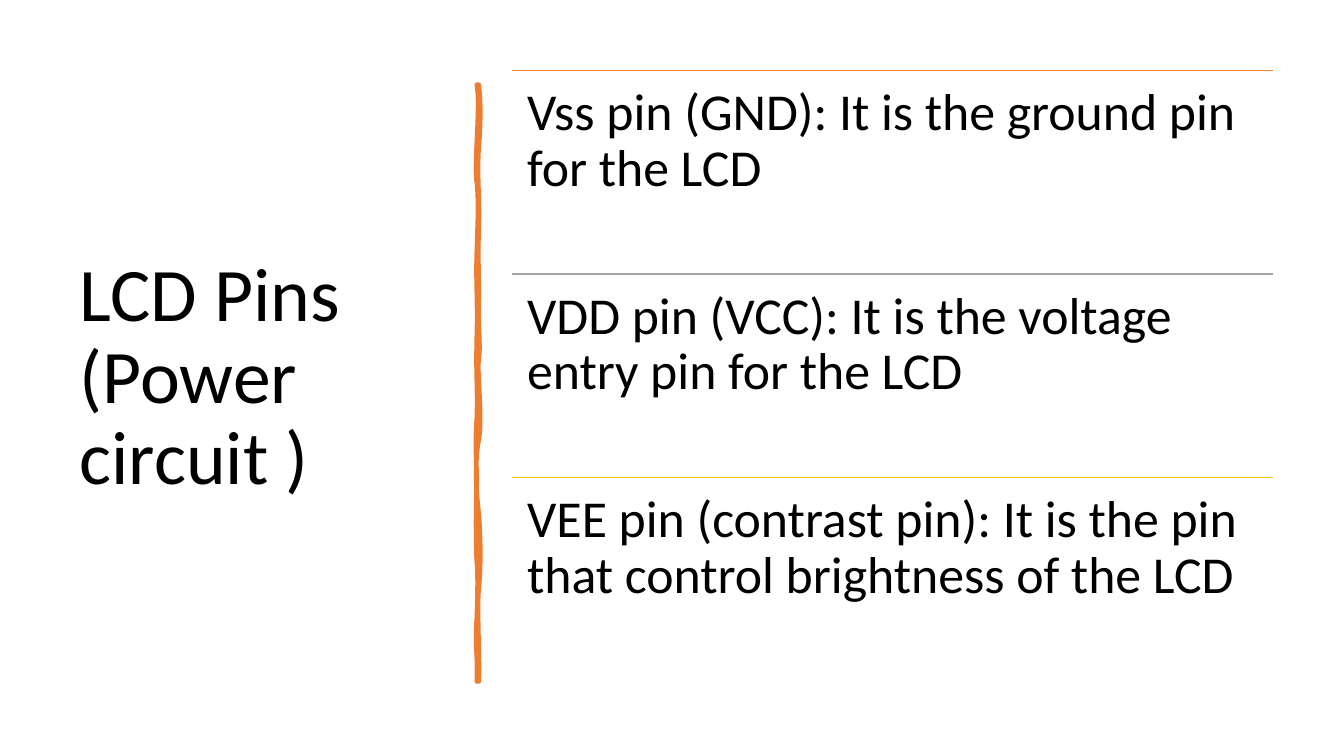
from lxml.etree import SubElement
from pptx import Presentation
from pptx.dml.color import RGBColor
from pptx.enum.shapes import MSO_CONNECTOR as Conn
from pptx.enum.text import MSO_ANCHOR as Anchor, MSO_AUTO_SIZE as AutoSize, PP_ALIGN as Align
from pptx.oxml.ns import qn
from pptx.util import Inches, Pt

# Content
TITLE = "LCD Pins (Power circuit )"
PINS = [
    ("Vss pin (GND): It is the ground pin for the LCD", "ED7D31"),
    ("VDD pin (VCC): It is the voltage entry pin for the LCD", "A5A5A5"),
    ("VEE pin (contrast pin): It is the pin that control brightness of the LCD", "FFC000"),
]
FONT, INK, ACCENT = "Calibri", "000000", "ED7D31"

# Layout in inches
WIDTH, HEIGHT = 40 / 3, 7.5
TITLE_BOX = (0.69, 0.7, 3.74, 6.11)
LIST_LEFT, LIST_TOP, LIST_WIDTH, ROW = 5.08, 0.7, 7.55, 2.02
BAR_LEFT, BAR_RIGHT, BAR_TOP, BAR_BOTTOM = 4.73, 4.75, 0.84, 6.76

# Hand-drawn bar edges: each curve is (control x, y, control x, y, end y)
STROKE_RIGHT = [
    (4.77, 1.02, 4.77, 1.19, 1.46), (4.73, 1.73, 4.76, 1.95, 2.26),
    (4.74, 2.57, 4.75, 2.62, 2.94), (4.74, 3.25, 4.77, 3.42, 3.56),
    (4.73, 3.7, 4.79, 4.14, 4.36), (4.71, 4.57, 4.72, 4.84, 5.1),
    (4.77, 5.36, 4.77, 5.64, 5.84), (4.73, 6.03, 4.76, 6.5, 6.76)]
STROKE_LEFT = [
    (4.74, 6.46, 4.71, 6.44, 6.13), (4.74, 5.83, 4.74, 5.7, 5.57),
    (4.72, 5.44, 4.72, 4.95, 4.77), (4.73, 4.59, 4.71, 4.45, 4.15),
    (4.74, 3.86, 4.72, 3.73, 3.35), (4.74, 2.98, 4.72, 2.81, 2.5),
    (4.74, 2.18, 4.75, 2, 1.81), (4.7, 1.63, 4.77, 1.04, 0.84)]
FILL_RIGHT = [
    (4.75, 1.15, 4.72, 1.25, 1.52), (4.77, 1.79, 4.74, 1.97, 2.08),
    (4.76, 2.2, 4.74, 2.55, 2.94), (4.76, 3.33, 4.73, 3.43, 3.62),
    (4.77, 3.81, 4.77, 3.97, 4.3), (4.72, 4.63, 4.75, 4.74, 5.16),
    (4.75, 5.57, 4.74, 5.53, 5.78), (4.76, 6.03, 4.74, 6.47, 6.76)]
FILL_LEFT = [
    (4.7, 6.49, 4.74, 6.32, 6.13), (4.72, 5.95, 4.75, 5.69, 5.39),
    (4.71, 5.1, 4.76, 5, 4.71), (4.7, 4.42, 4.77, 4.2, 3.86),
    (4.69, 3.51, 4.74, 3.25, 3), (4.71, 2.75, 4.71, 2.59, 2.38),
    (4.74, 2.16, 4.74, 1.85, 1.64), (4.71, 1.43, 4.75, 1.21, 0.84)]
OUTLINES = [(STROKE_RIGHT, STROKE_LEFT, {"fill": "none"}),
            (FILL_RIGHT, FILL_LEFT, {"stroke": "0"})]


def color(value):
    return RGBColor.from_string(value)


def write(tf, text, size, anchor, inset=None, after=0):
    settings = dict(word_wrap=True, auto_size=AutoSize.NONE, vertical_anchor=anchor)
    if inset:
        for side in ("left", "top", "right", "bottom"):
            settings["margin_" + side] = Inches(inset)
    for name, value in settings.items():
        setattr(tf, name, value)
    p = tf.paragraphs[0]
    p.alignment, p.line_spacing, p.space_after = Align.LEFT, 0.9, Pt(after)
    r = p.add_run()
    r.text = text
    r.font.name, r.font.size = FONT, Pt(size)
    r.font.color.rgb = color(INK)


def add_step(outline, tag, *points):
    """Append a path step; the bar lies on its side, so x and y trade places."""
    step = SubElement(outline, qn("a:" + tag))
    for x, y in points:
        SubElement(step, qn("a:pt"), x=str(Inches(y - BAR_TOP)), y=str(Inches(BAR_RIGHT - x)))


def add_bar():
    length, thick = BAR_BOTTOM - BAR_TOP, BAR_RIGHT - BAR_LEFT
    left = (BAR_LEFT + BAR_RIGHT - length) / 2
    top = (BAR_TOP + BAR_BOTTOM - thick) / 2
    left, top, length, thick = map(Inches, (left, top, length, thick))
    builder = s.shapes.build_freeform(left, top)
    builder.add_line_segments([(left + length, top), (left + length, top + thick),
                               (left, top + thick)])
    bar = builder.convert_to_shape()
    bar.rotation = 90

    # Curved outlines: one only stroked, one only filled
    outlines = bar._element.spPr.find(".//" + qn("a:pathLst"))
    outlines.remove(outlines[0])
    for right, left_side, mode in OUTLINES:
        outline = SubElement(outlines, qn("a:path"), w=str(length), h=str(thick), **mode)
        add_step(outline, "moveTo", (BAR_RIGHT, BAR_TOP))
        for x, curves in ((BAR_RIGHT, right), (BAR_LEFT, left_side)):
            if x == BAR_LEFT:
                add_step(outline, "lnTo", (BAR_LEFT, BAR_BOTTOM))
            for x1, y1, x2, y2, end in curves:
                add_step(outline, "cubicBezTo", (x1, y1), (x2, y2), (x, end))
        add_step(outline, "close")

    bar.shadow.inherit = False
    bar.fill.solid()
    bar.fill.fore_color.rgb = bar.line.color.rgb = color(ACCENT)
    bar.line.width = Pt(3.25)


prs = Presentation()
prs.slide_width, prs.slide_height = Inches(WIDTH), Inches(HEIGHT)
s = prs.slides.add_slide(prs.slide_layouts[5])

# Title and bar
title = s.shapes.title
title.left, title.top, title.width, title.height = map(Inches, TITLE_BOX)
write(title.text_frame, TITLE, 54, Anchor.MIDDLE)
add_bar()

# Pin list: a rule above each text, all in one group
pins = s.shapes.add_group_shape().shapes
for i, (text, rule_color) in enumerate(PINS):
    left, top, width, row = map(Inches, (LIST_LEFT, LIST_TOP + i * ROW, LIST_WIDTH, ROW))
    rule = pins.add_connector(Conn.STRAIGHT, left, top, left + width, top)
    rule.line.color.rgb, rule.line.width = color(rule_color), Pt(1)
    SubElement(rule._element.spPr, qn("a:effectLst"))
    box = pins.add_textbox(left, top, width, row)
    write(box.text_frame, text, 37, Anchor.TOP, inset=0.15, after=13)

prs.save("out.pptx")
